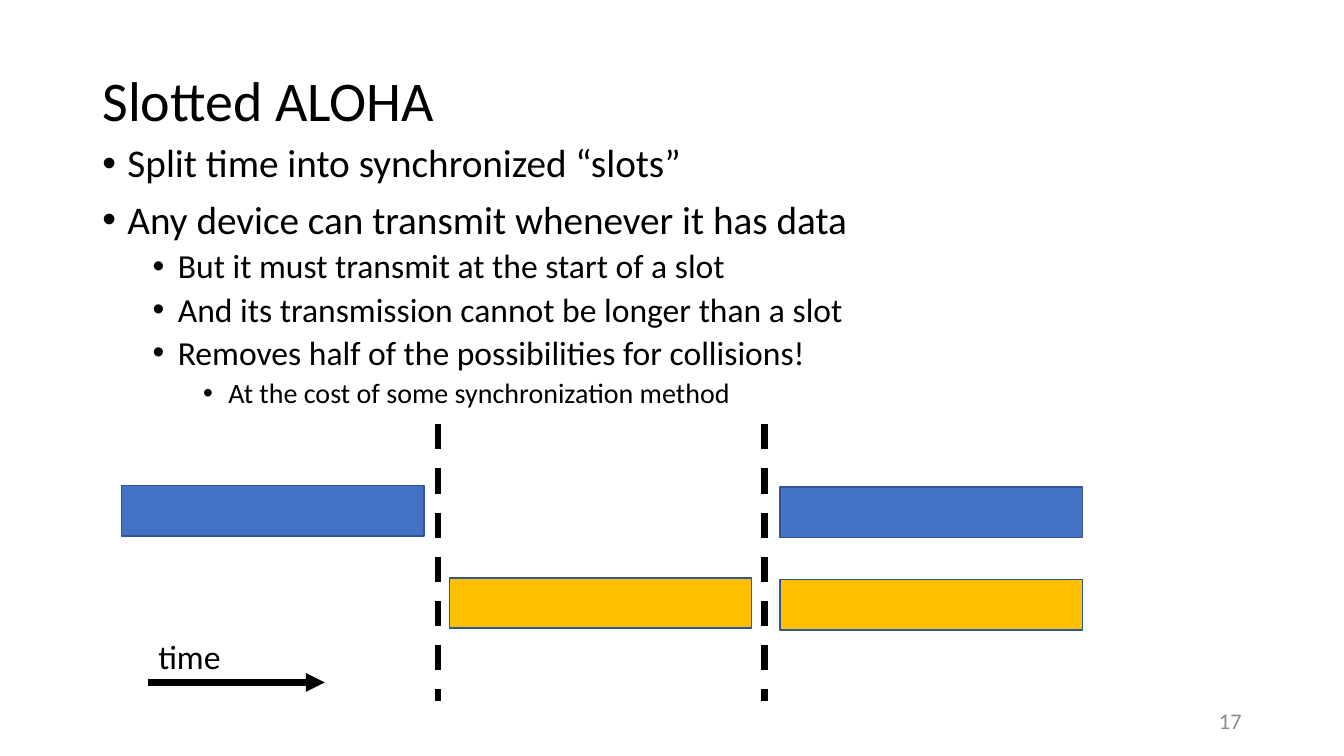
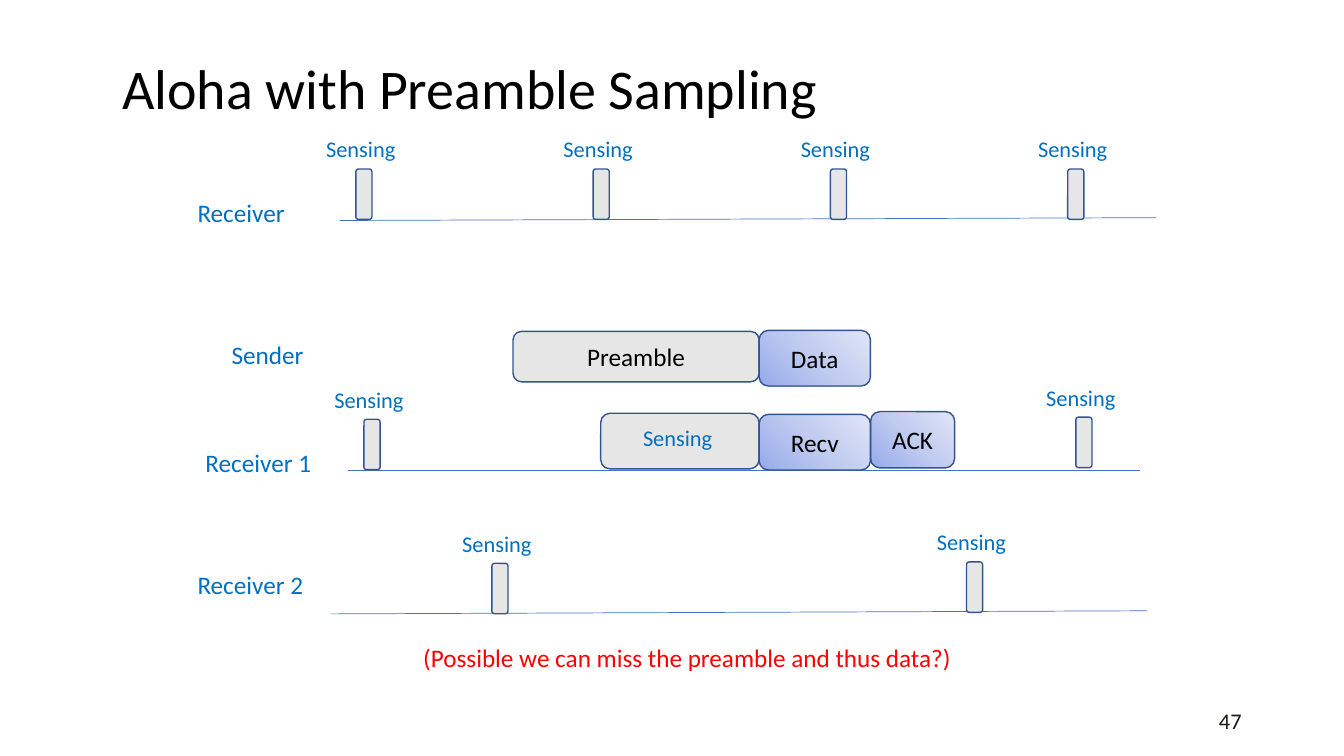
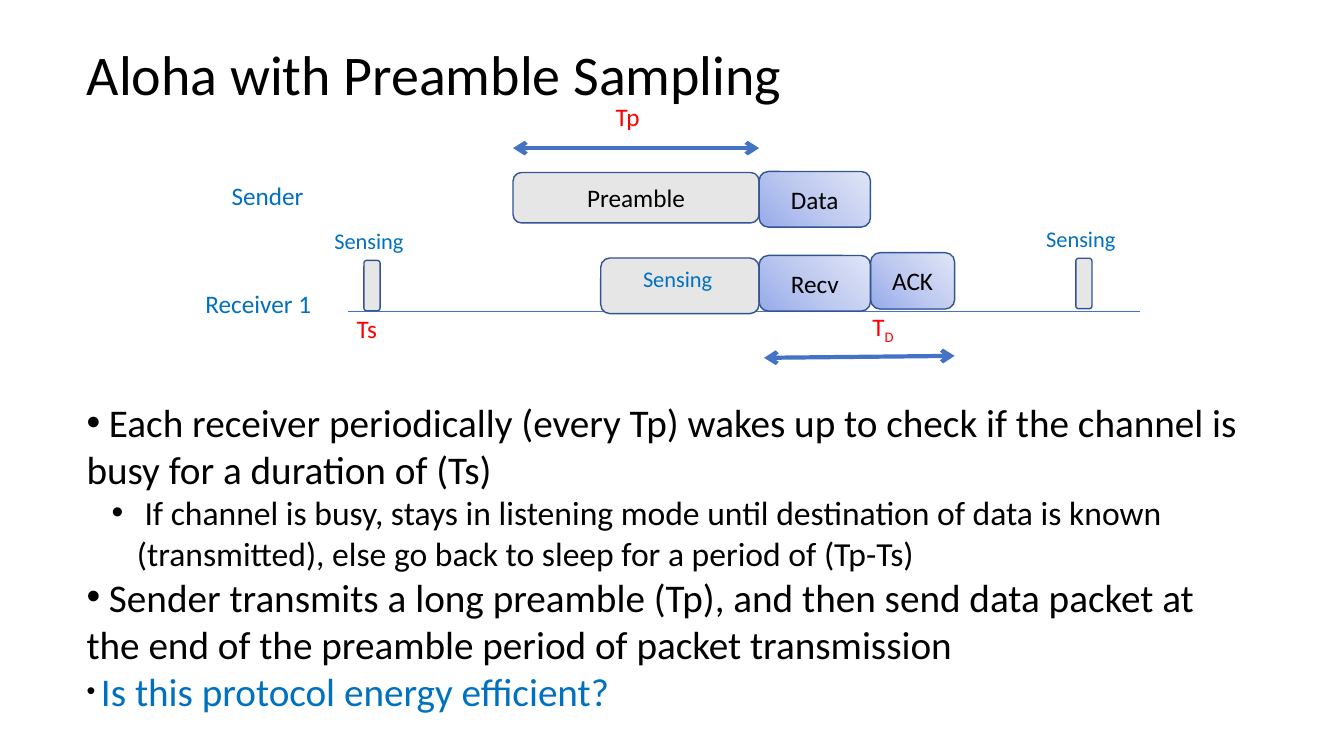
"""Build three slides on slotted ALOHA and ALOHA with preamble sampling."""
from dataclasses import dataclass
from typing import Optional

from lxml import etree
from pptx import Presentation
from pptx.dml.color import RGBColor
from pptx.enum.dml import MSO_LINE
from pptx.enum.shapes import MSO_CONNECTOR, MSO_SHAPE
from pptx.enum.text import MSO_ANCHOR, MSO_AUTO_SIZE, PP_ALIGN
from pptx.oxml import parse_xml
from pptx.oxml.ns import nsdecls, qn
from pptx.util import Pt

RECTANGLE, ROUNDED = MSO_SHAPE.RECTANGLE, MSO_SHAPE.ROUNDED_RECTANGLE
STRAIGHT, DASH = MSO_CONNECTOR.STRAIGHT, MSO_LINE.DASH
MIDDLE = MSO_ANCHOR.MIDDLE
LEFT, CENTER, RIGHT = PP_ALIGN.LEFT, PP_ALIGN.CENTER, PP_ALIGN.RIGHT
FIT_SHAPE, FIXED = MSO_AUTO_SIZE.SHAPE_TO_FIT_TEXT, MSO_AUTO_SIZE.NONE

FONT = "Calibri"
BLACK, RED, SKY = "000000", "FF0000", "0070C0"
BLUE, GOLD, GRAY, OUTLINE = "4472C4", "FFC000", "E7E6E6", "325491"
GRADIENT = ((0, "96ABEA"), (50, "C0CBF0"), (100, "E0E5F7"))
PERIOD = 169.5


@dataclass(frozen=True)
class Frame:
    """Position and size of an object, in points."""

    left: float
    top: float
    width: float
    height: float

    def lengths(self) -> tuple:
        """Return the four values as lengths."""
        return Pt(self.left), Pt(self.top), Pt(self.width), Pt(self.height)


@dataclass(frozen=True)
class Bullet:
    """One bulleted paragraph."""

    text: str
    size: float
    level: int = 0
    margin: float = 0
    hang: float = 0
    before: float = 0
    spacing: float = 1.0


@dataclass(frozen=True)
class Stroke:
    """Look of a line."""

    color: str
    width: float
    dashed: bool = False
    head: Optional[str] = None
    tail: Optional[str] = None


AXIS = Stroke(BLUE, 0.5)
SPAN_ARROW = Stroke(BLUE, 3, head="arrow", tail="arrow")
SLOT_EDGE = Stroke(BLACK, 4.5, dashed=True)
TIME_ARROW = Stroke(BLACK, 4.5, tail="triangle")


def rgb(color: str) -> RGBColor:
    """Turn a hex string into a colour."""
    return RGBColor.from_string(color)


def format_span(span, size: float, color: str) -> None:
    """Give a run its font, size and colour."""
    span.font.name = FONT
    span.font.size = Pt(size)
    span.font.color.rgb = rgb(color)


def write(para, text: str, size: float, color: str, align=LEFT) -> None:
    """Set the text of a paragraph and format it."""
    para.text = text
    para.alignment = align
    for span in para.runs:
        format_span(span, size, color)


def append_span(para, text: str, size: float, color: str):
    """Add a formatted run to a paragraph."""
    span = para.add_run()
    span.text = text
    format_span(span, size, color)
    return span


def add_page(deck, title: str, frame: Frame):
    """Add a title-only slide with its title in place."""
    page = deck.slides.add_slide(deck.slide_layouts[5])
    box = page.shapes.title
    box.left, box.top, box.width, box.height = frame.lengths()
    text_frame = box.text_frame
    text_frame.auto_size = FIXED
    text_frame.vertical_anchor = MIDDLE
    para = text_frame.paragraphs[0]
    write(para, title, 40, BLACK)
    para.line_spacing = 0.9
    return page


def add_number(page, number: str, color: str) -> None:
    """Write the page number at the lower right."""
    box = page.shapes.add_textbox(*Frame(678, 500.5, 216, 28.75).lengths())
    box.text_frame.word_wrap = True
    box.text_frame.vertical_anchor = MIDDLE
    write(box.text_frame.paragraphs[0], number, 16, color, RIGHT)


def add_label(page, text: str, frame: Frame, size: float = 18,
              color: str = SKY, wrap: bool = False):
    """Add a one-line label and return its paragraph."""
    box = page.shapes.add_textbox(*frame.lengths())
    box.text_frame.word_wrap = wrap
    box.text_frame.auto_size = FIT_SHAPE
    para = box.text_frame.paragraphs[0]
    write(para, text, size, color)
    return para


def add_bullets(page, frame: Frame, bullets: tuple):
    """Add a bulleted text box and return its last paragraph."""
    box = page.shapes.add_textbox(*frame.lengths())
    box.text_frame.word_wrap = True
    box.text_frame.text = "\n".join(bullet.text for bullet in bullets)
    for para, bullet in zip(box.text_frame.paragraphs, bullets):
        write(para, bullet.text, bullet.size, BLACK)
        para.level = bullet.level
        para.line_spacing = bullet.spacing
        para.space_before = Pt(bullet.before)
        properties = para._p.get_or_add_pPr()
        properties.set("marL", str(Pt(bullet.margin)))
        properties.set("indent", str(Pt(-bullet.hang)))
        etree.SubElement(properties, qn("a:buFont")).set("typeface", "Arial")
        etree.SubElement(properties, qn("a:buChar")).set("char", "•")
    return para


def add_box(page, frame: Frame, fill: str, kind=ROUNDED, text: str = ""):
    """Add an outlined box, with centred text if there is any."""
    box = page.shapes.add_shape(kind, *frame.lengths())
    box.shadow.inherit = False
    box.fill.solid()
    box.fill.fore_color.rgb = rgb(fill)
    box.line.color.rgb = rgb(OUTLINE)
    box.line.width = Pt(1)
    if text:
        box.text_frame.vertical_anchor = MIDDLE
        write(box.text_frame.paragraphs[0], text, 18, BLACK, CENTER)
    return box


def add_packet(page, frame: Frame, text: str) -> None:
    """Add a box shaded outward from its lower left corner."""
    box = add_box(page, frame, GRADIENT[0][1], text=text)
    stops = "".join(
        f'<a:gs pos="{place * 1000}"><a:srgbClr val="{color}"/></a:gs>'
        for place, color in GRADIENT)
    shading = parse_xml(
        f'<a:gradFill {nsdecls("a")} rotWithShape="1"><a:gsLst>{stops}</a:gsLst>'
        '<a:path path="circle"><a:fillToRect t="100000" r="100000"/></a:path>'
        '</a:gradFill>')
    properties = box._element.spPr
    properties.replace(properties.find(qn("a:solidFill")), shading)


def add_line(page, start: tuple, end: tuple, stroke: Stroke) -> None:
    """Draw a straight line between two points."""
    line = page.shapes.add_connector(
        STRAIGHT, *(Pt(value) for value in start + end))
    line.line.color.rgb = rgb(stroke.color)
    line.line.width = Pt(stroke.width)
    if stroke.dashed:
        line.line.dash_style = DASH
    properties = line._element.spPr
    outline = properties.find(qn("a:ln"))
    for tag, arrow in (("a:headEnd", stroke.head), ("a:tailEnd", stroke.tail)):
        if arrow:
            etree.SubElement(outline, qn(tag)).set("type", arrow)
    etree.SubElement(properties, qn("a:effectLst"))


def add_sensing_label(page, left: float, top: float) -> None:
    """Write the word for a sensing period."""
    add_label(page, "Sensing", Frame(left, top, 65, 26.6), size=16)


def add_sensing(page, left: float, top: float) -> None:
    """Draw a short sensing period with its label above."""
    add_box(page, Frame(left, top, 11.5, 36), GRAY)
    add_sensing_label(page, left - 28.3, top - 27.4)


def add_exchange(page, top: float, listen_top: float) -> None:
    """Draw sender and receiver 1, with the preamble at the given top."""
    add_box(page, Frame(366.5, top, 175.75, 36), GRAY, text="Preamble")
    add_packet(page, Frame(542.25, top - 0.75, 79.5, 39.75), "Data")
    add_label(page, "Sender", Frame(158.4, top + 1.75, 66.25, 29))
    add_label(page, "Receiver 1", Frame(139.7, top + 79, 90.75, 29))
    add_line(page, (248.4, top + 99), (814.3, top + 99), AXIS)
    add_sensing(page, 260, top + 62.75)
    add_sensing(page, 260 + 3 * PERIOD, top + 61.25)
    add_box(page, Frame(429.1, listen_top, 113.1, 39.75), GRAY)
    add_sensing_label(page, 452.2, top + 62.75)
    add_packet(page, Frame(621.9, top + 57.25, 60, 40.25), "ACK")
    add_packet(page, Frame(542.25, top + 59.25, 79.5, 39.75), "Recv")


def build_slotted(deck) -> None:
    """Build the slide on slotted ALOHA."""
    page = add_page(deck, "Slotted ALOHA", Frame(66, 21.6, 828, 104.4))
    first = dict(size=28, margin=18, hang=18, before=10, spacing=0.9)
    second = dict(size=24, level=1, margin=54, hang=18, before=5, spacing=0.9)
    third = dict(size=20, level=2, margin=90, hang=18, before=5, spacing=0.9)
    add_bullets(page, Frame(66, 99.4, 828, 342.7), (
        Bullet("Split time into synchronized “slots”", **first),
        Bullet("Any device can transmit whenever it has data", **first),
        Bullet("But it must transmit at the start of a slot", **second),
        Bullet("And its transmission cannot be longer than a slot", **second),
        Bullet("Removes half of the possibilities for collisions!", **second),
        Bullet("At the cost of some synchronization method", **third),
    ))
    add_number(page, "17", "8C8C8C")
    for left, top, color in ((87, 347, BLUE), (321, 412.75, GOLD),
                             (557.25, 414, GOLD), (557.25, 348, BLUE)):
        add_box(page, Frame(left, top, 216, 36), color, RECTANGLE)
    for edge in (313, 546):
        add_line(page, (edge, 303), (edge, 500.5), SLOT_EDGE)
    add_line(page, (106, 487.5), (232, 487.5), TIME_ARROW)
    add_label(page, "time", Frame(106, 450.75, 103, 36), 24, BLACK, wrap=True)


def build_sampling(deck) -> None:
    """Build the slide with the sampling timelines."""
    page = add_page(deck, "Aloha with Preamble Sampling",
                    Frame(80, 7.2, 602, 116.6))
    add_number(page, "47", "191B0E")
    add_label(page, "Receiver", Frame(134, 137.5, 77.75, 29))
    add_line(page, (242.6, 157.5), (825.8, 155.5), AXIS)
    for index in range(4):
        add_sensing(page, 254.2 + index * PERIOD, 120.75)
    add_exchange(page, 236.75, 295.2)
    add_label(page, "Receiver 2", Frame(134, 403.2, 90.75, 29))
    add_line(page, (236.2, 438.5), (819.4, 436.3), AXIS)
    for index in (0, 2):
        add_sensing(page, 351.4 + index * PERIOD, 402.4 - index * 0.5)
    add_label(page, "(Possible we can miss the preamble and thus data?)",
              Frame(295.2, 455, 396, 29), color=RED)


def build_timing(deck) -> None:
    """Build the slide with the timing of one exchange."""
    page = add_page(deck, "Aloha with Preamble Sampling",
                    Frame(54.7, 21.6, 567.4, 67))
    question = add_bullets(page, Frame(54.7, 280.8, 843.8, 234.7), (
        Bullet(" Each receiver periodically (every Tp) wakes up to check if the "
               "channel is busy for a duration of (Ts)", 28),
        Bullet(" If channel is busy, stays in listening mode until destination "
               "of data is known (transmitted), else go back to sleep for a "
               "period of (Tp-Ts)", 24, level=1, margin=36, hang=18),
        Bullet(" Sender transmits a long preamble (Tp), and then send data "
               "packet at the end of the preamble period of packet "
               "transmission", 28),
        Bullet(" ", 18),
    ))
    append_span(question, "Is this protocol energy efficient?", 28, SKY)
    add_exchange(page, 123.25, 184.3)
    add_line(page, (366.5, 105.8), (542.25, 105.8), SPAN_ARROW)
    add_label(page, "Tp", Frame(432.75, 69.1, 31.7, 29), color=RED)
    add_label(page, "Ts", Frame(247.7, 220.4, 28.8, 29), color=RED)
    add_line(page, (545.8, 255.6), (681.9, 254.2), SPAN_ARROW)
    duration = add_label(page, "T", Frame(616, 218.9, 49.7, 29),
                         color=RED, wrap=True)
    subscript = append_span(duration, "D", 18, RED)
    subscript._r.get_or_add_rPr().set("baseline", "-25000")


def main() -> None:
    """Build and save the deck."""
    deck = Presentation()
    deck.slide_width, deck.slide_height = Pt(960), Pt(540)
    build_slotted(deck)
    build_sampling(deck)
    build_timing(deck)
    deck.save("out.pptx")


if __name__ == "__main__":
    main()
